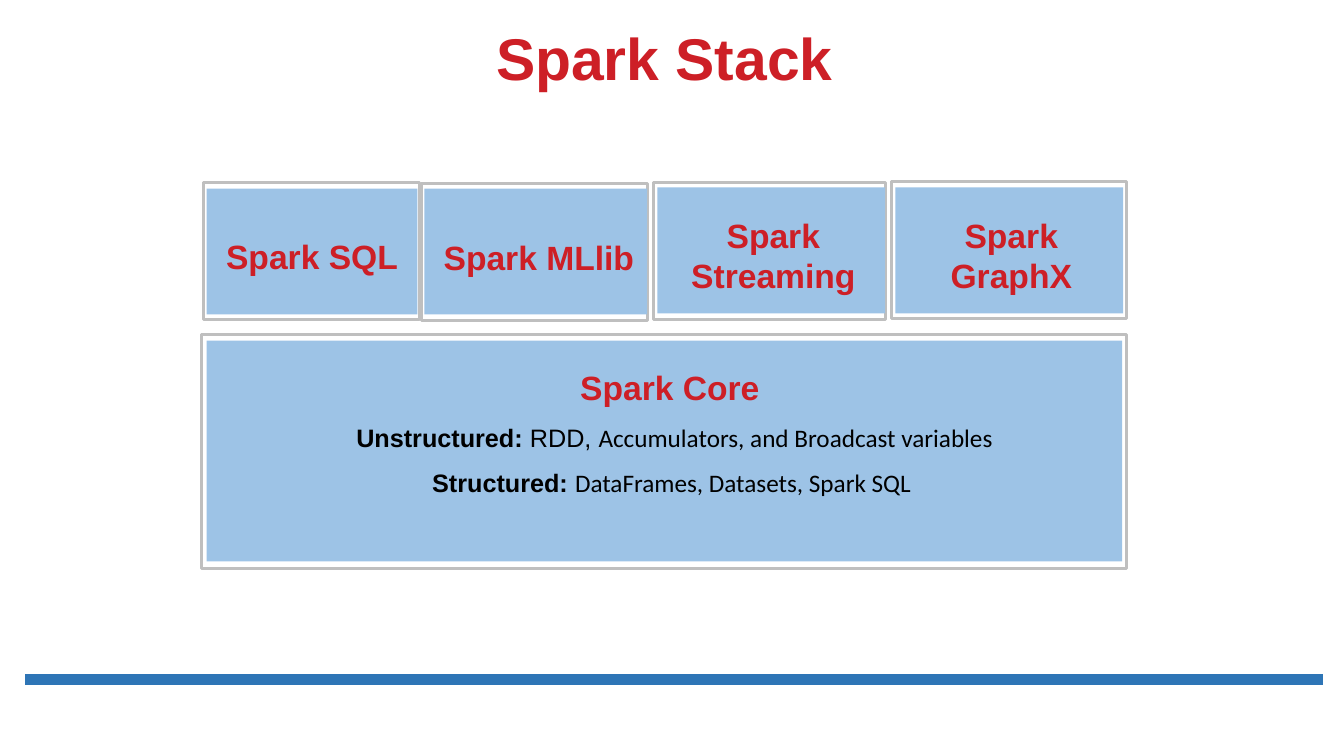
"""Build the Spark Stack slide."""
from pptx import Presentation, util as u
from pptx.dml.color import RGBColor
from pptx.enum import shapes, text
from pptx.oxml.ns import qn
from lxml import etree

PX = u.Inches(1) // 100
COLOURS = {"red": "CD1F26", "black": "000000", "white": "FFFFFF",
           "grey": "BFBFBF", "sky": "9DC3E6", "blue": "2E75B6"}


class StackSlide:
    """Hold the slide and draw its elements in one style."""

    heading = {"name": "Arial", "size": u.Pt(24), "bold": True, "colour": "red"}
    body = {"name": "Arial", "size": u.Pt(18), "bold": False, "colour": "black"}

    def __init__(self, presentation):
        self.slide = presentation.slides.add_slide(presentation.slide_layouts[6])

    def colour(self, name):
        return RGBColor.from_string(COLOURS[name])

    def rule(self, left, right, y, colour, points):
        line = self.slide.shapes.add_connector(
            shapes.MSO_CONNECTOR.STRAIGHT, left * PX, y * PX, right * PX, y * PX)
        line.line.color.rgb = self.colour(colour)
        line.line.width = u.Pt(points)
        etree.SubElement(line._element.spPr, qn("a:effectLst"))

    def rectangle(self, box, fill, border=None):
        shape = self.slide.shapes.add_shape(
            shapes.MSO_SHAPE.RECTANGLE, *(value * PX for value in box))
        shape.shadow.inherit = False
        shape.fill.solid()
        shape.fill.fore_color.rgb = self.colour(fill)
        if border:
            shape.line.color.rgb = self.colour(border)
            shape.line.width = u.Pt(2.25)
        else:
            shape.line.fill.background()

    def panel(self, frame, inner):
        self.rectangle(frame, "white", "grey")
        self.rectangle(inner, "sky")

    def text(self, box, paragraphs, anchor=text.MSO_ANCHOR.TOP):
        shape = self.slide.shapes.add_textbox(*(value * PX for value in box))
        frame = shape.text_frame
        frame.word_wrap = True
        frame.vertical_anchor = anchor
        for index, (spacing, runs) in enumerate(paragraphs):
            paragraph = frame.add_paragraph() if index else frame.paragraphs[0]
            paragraph.alignment = text.PP_ALIGN.CENTER
            paragraph.line_spacing = spacing
            for words, style in runs:
                run = paragraph.add_run()
                run.text = words
                run.font.color.rgb = self.colour(style["colour"])
                for key in ("name", "size", "bold"):
                    setattr(run.font, key, style[key])


def main():
    presentation = Presentation()
    presentation.slide_width, presentation.slide_height = 1333 * PX, 750 * PX
    stack = StackSlide(presentation)
    heading, body = stack.heading, stack.body
    strong, calibri = {**body, "bold": True}, {**body, "name": "Calibri"}

    stack.rule(25, 1312, 674, "blue", 8)
    title = {**heading, "size": u.Pt(42)}
    stack.text((159, 23, 1000, 74), [(0.9, [("Spark Stack", title)])],
               text.MSO_ANCHOR.BOTTOM)

    stack.panel((200, 332, 917, 232), (205, 338, 908, 219))
    stack.text((224, 359, 890, 141), [
        (1.0, [("Spark Core ", heading)]),
        (1.5, [("Unstructured:", strong), (" RDD, ", body),
               ("Accumulators, and Broadcast variables", calibri)]),
        (1.5, [("Structured: ", strong),
               ("DataFrames, Datasets, Spark SQL ", calibri)]),
    ])

    modules = [
        ("Spark SQL", (202, 181, 214), (205, 187, 209), (208, 229, 203)),
        ("Spark MLlib", (418, 182, 224), (421, 187, 221), (423, 230, 223)),
        ("Spark Streaming", (648, 181, 230), (652, 186, 226), (653, 208, 228)),
        ("Spark GraphX", (884, 180, 233), (888, 186, 226), (889, 208, 228)),
    ]
    for name, frame, inner, label in modules:
        stack.panel((*frame, 136), (*inner, 125))
        stack.text((*label, 50), [(1.0, [(name, heading)])])

    presentation.save("out.pptx")


if __name__ == "__main__":
    main()
